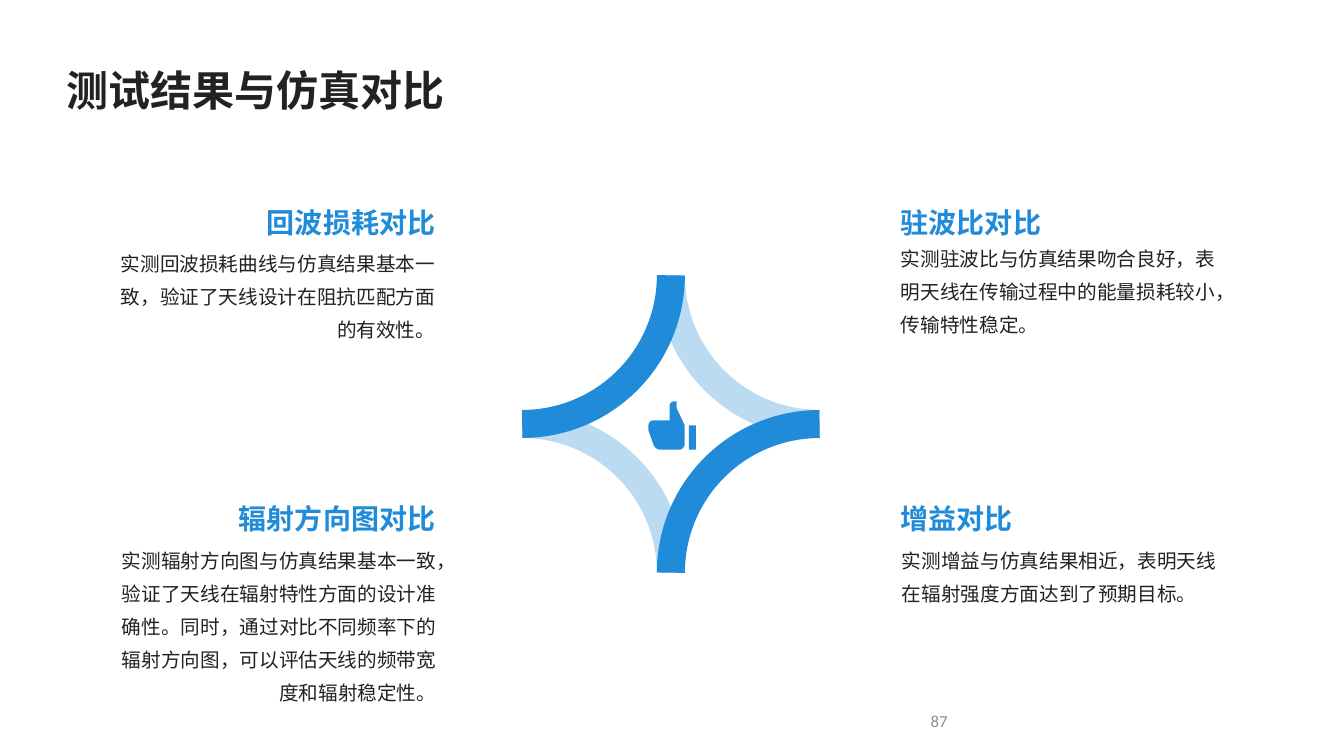
import dataclasses
import itertools

import lxml.etree
import pptx
import pptx.dml.color
import pptx.enum.shapes
import pptx.enum.text
import pptx.oxml.ns
import pptx.util

BLUE = pptx.dml.color.RGBColor(0x20, 0x8B, 0xD9)
DARK = pptx.dml.color.RGBColor(0x22, 0x22, 0x22)
GREY = pptx.dml.color.RGBColor(0x8D, 0x8D, 0x8D)
CHINESE_FONT = "Noto Sans CJK SC"
LEFT = pptx.enum.text.PP_ALIGN.LEFT
RIGHT = pptx.enum.text.PP_ALIGN.RIGHT
TOP = pptx.enum.text.MSO_ANCHOR.TOP
MIDDLE = pptx.enum.text.MSO_ANCHOR.MIDDLE

SLIDE_WIDTH = pptx.util.Inches(13.33)
SLIDE_HEIGHT = pptx.util.Inches(7.5)
COLUMN = SLIDE_WIDTH / 12
ROW = SLIDE_HEIGHT / 12
STAR_CENTER = (5.99 * COLUMN, 6.73 * ROW)
ARC_SIZE = 2.655 * COLUMN
THUMB_ORIGIN = (5.79 * COLUMN, 6.37 * ROW)
THUMB_UNIT = SLIDE_WIDTH / 1333

Point = tuple[float, float]


@dataclasses.dataclass(frozen=True)
class Area:
    column: float
    row: float
    columns: float
    rows: float

    def box(self) -> tuple[int, int, int, int]:
        return (round(self.column * COLUMN), round(self.row * ROW),
                round(self.columns * COLUMN), round(self.rows * ROW))


@dataclasses.dataclass(frozen=True)
class Style:
    size: int
    color: pptx.dml.color.RGBColor
    bold: bool = False
    spacing: float = 1.4
    anchor: pptx.enum.text.MSO_ANCHOR = MIDDLE
    font: str = CHINESE_FONT
    insets: tuple[float, float, float, float] = (0.07, 0.04, 0.07, 0.04)


@dataclasses.dataclass(frozen=True)
class Finding:
    heading: str
    body: str
    column: float
    heading_row: float
    body_row: float
    body_column: float
    alignment: pptx.enum.text.PP_ALIGN


TITLE = Style(30, DARK, bold=True, insets=(0.14, 0.14, 0.06, 0.14))
HEADING = Style(20, BLUE, bold=True, spacing=1.5)
BODY = Style(14, DARK, anchor=TOP)
NUMBER = Style(12, GREY, spacing=1, font="Calibri", insets=(0.1, 0.05, 0.1, 0.05))

FINDINGS = [
    Finding("回波损耗对比",
            "实测回波损耗曲线与仿真结果基本一致，验证了天线设计在阻抗匹配方面的有效性。",
            1, 2.96, 3.79, 1, RIGHT),
    Finding("辐射方向图对比",
            "实测辐射方向图与仿真结果基本一致，验证了天线在辐射特性方面的设计准确性。"
            "同时，通过对比不同频率下的辐射方向图，可以评估天线的频带宽度和辐射稳定性。",
            1, 7.66, 8.5, 1.01, RIGHT),
    Finding("驻波比对比",
            "实测驻波比与仿真结果吻合良好，表明天线在传输过程中的能量损耗较小，传输特性稳定。",
            7.98, 2.96, 3.7, 7.98, LEFT),
    Finding("增益对比",
            "实测增益与仿真结果相近，表明天线在辐射强度方面达到了预期目标。",
            7.98, 7.66, 8.5, 7.99, LEFT),
]


def write_text(shape, text: str, style: Style, alignment) -> None:
    frame = shape.text_frame
    frame.text = text
    frame.word_wrap = True
    frame.auto_size = pptx.enum.text.MSO_AUTO_SIZE.NONE
    frame.vertical_anchor = style.anchor
    (frame.margin_left, frame.margin_top, frame.margin_right,
     frame.margin_bottom) = map(pptx.util.Inches, style.insets)
    paragraph = frame.paragraphs[0]
    paragraph.alignment = alignment
    paragraph.line_spacing = style.spacing
    paragraph.space_before = pptx.util.Pt(0)
    run = paragraph.runs[0]
    run.font.size = pptx.util.Pt(style.size)
    run.font.bold = style.bold
    run.font.color.rgb = style.color
    run.font.name = style.font
    east_asian = lxml.etree.SubElement(run.font._element, pptx.oxml.ns.qn("a:ea"))
    east_asian.set("typeface", style.font)


def add_text(slide, area: Area, text: str, style: Style, alignment) -> None:
    write_text(slide.shapes.add_textbox(*area.box()), text, style, alignment)


def add_arc(slide, right: bool, below: bool) -> None:
    left = STAR_CENTER[0] - (0 if right else ARC_SIZE)
    top = STAR_CENTER[1] - (0 if below else ARC_SIZE)
    arc = slide.shapes.add_shape(
        pptx.enum.shapes.MSO_SHAPE.ARC,
        round(left), round(top), round(ARC_SIZE), round(ARC_SIZE))
    arc.shadow.inherit = False
    arc.fill.background()
    arc.line.color.rgb = BLUE
    arc.line.width = pptx.util.Pt(20)
    transform = arc._element.spPr.find(pptx.oxml.ns.qn("a:xfrm"))
    transform.set("flipH", str(int(right)))
    transform.set("flipV", str(int(not below)))
    if right != below:
        color = arc.line._ln.find(".//" + pptx.oxml.ns.qn("a:srgbClr"))
        lxml.etree.SubElement(color, pptx.oxml.ns.qn("a:alpha")).set("val", "30000")


def curve(start: Point, first: Point, second: Point, end: Point) -> list[Point]:
    points = []
    for step in range(9):
        t = step / 8
        weights = ((1 - t) ** 3, 3 * t * (1 - t) ** 2, 3 * t * t * (1 - t), t ** 3)
        corners = (start, first, second, end)
        points.append((sum(w * x for w, (x, _) in zip(weights, corners)),
                       sum(w * y for w, (_, y) in zip(weights, corners))))
    return points


def place(points: list[Point]) -> list[Point]:
    return [(THUMB_ORIGIN[0] + x * THUMB_UNIT, THUMB_ORIGIN[1] + y * THUMB_UNIT)
            for x, y in points]


def add_thumb(slide) -> None:
    hand = place([
        (28, 0), (28, 7), (36, 24),
        *curve((36, 43), (36, 45), (33, 48), (31, 48)),
        *curve((12, 48), (9, 48), (6, 46), (5, 43)),
        (0, 29),
        *curve((0, 24), (0, 21), (2, 19), (5, 19)),
        (21, 19),
        *curve((21, 5), (21, 2), (23, 0), (26, 0)),
    ])
    cuff = place([(40, 24), (47, 24), (47, 48), (40, 48)])
    builder = slide.shapes.build_freeform(*hand[0], scale=1.0)
    builder.add_line_segments(hand[1:], close=True)
    builder.move_to(*cuff[0])
    builder.add_line_segments(cuff[1:], close=True)
    thumb = builder.convert_to_shape()
    thumb.shadow.inherit = False
    thumb.fill.solid()
    thumb.fill.fore_color.rgb = BLUE
    thumb.line.fill.background()


def main() -> None:
    presentation = pptx.Presentation()
    presentation.slide_width = SLIDE_WIDTH
    presentation.slide_height = SLIDE_HEIGHT
    slide = presentation.slides.add_slide(presentation.slide_layouts[5])
    title = slide.shapes.title
    title.left, title.top, title.width, title.height = Area(0.47, 0.46, 11.06, 1.6).box()
    write_text(title, "测试结果与仿真对比", TITLE, LEFT)
    for finding in FINDINGS:
        add_text(slide, Area(finding.column, finding.heading_row, 2.95, 0.86),
                 finding.heading, HEADING, finding.alignment)
        add_text(slide, Area(finding.body_column, finding.body_row, 2.95, 2.72),
                 finding.body, BODY, finding.alignment)
    for below, right in itertools.product((True, False), (False, True)):
        add_arc(slide, right, below)
    add_thumb(slide)
    add_text(slide, Area(6.45, 11.12, 2.1, 0.64), "87", NUMBER, RIGHT)
    presentation.save("out.pptx")


if __name__ == "__main__":
    main()
